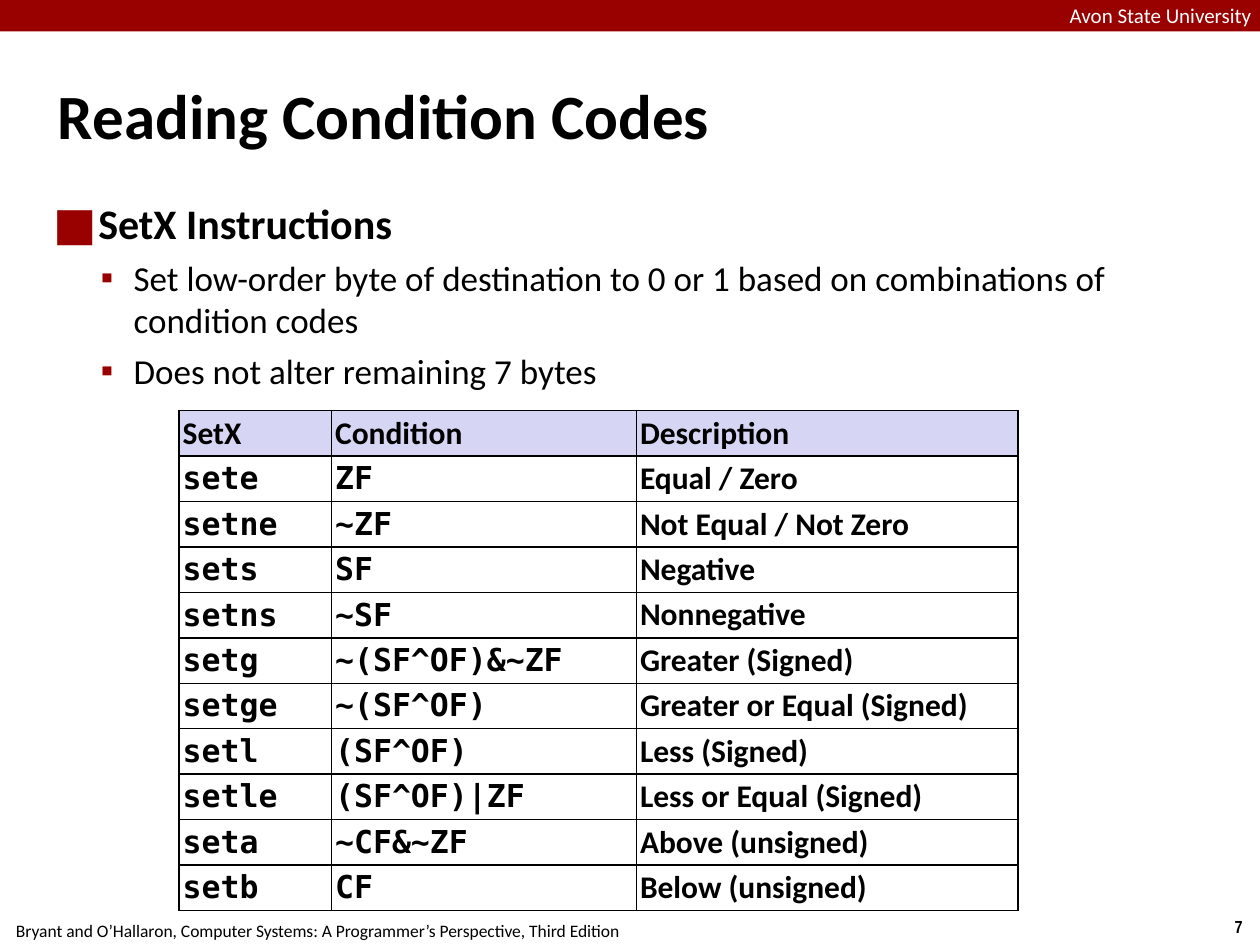
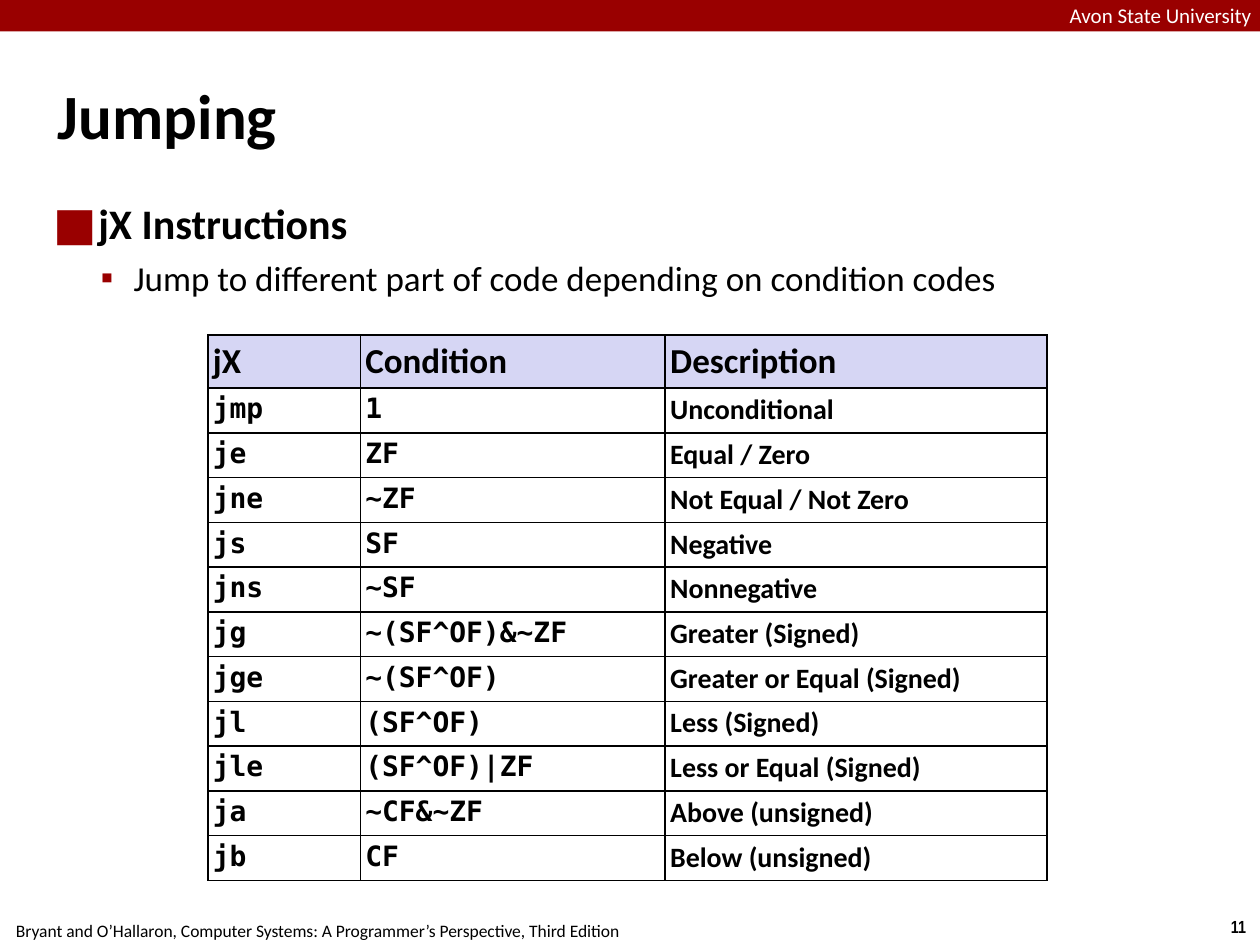
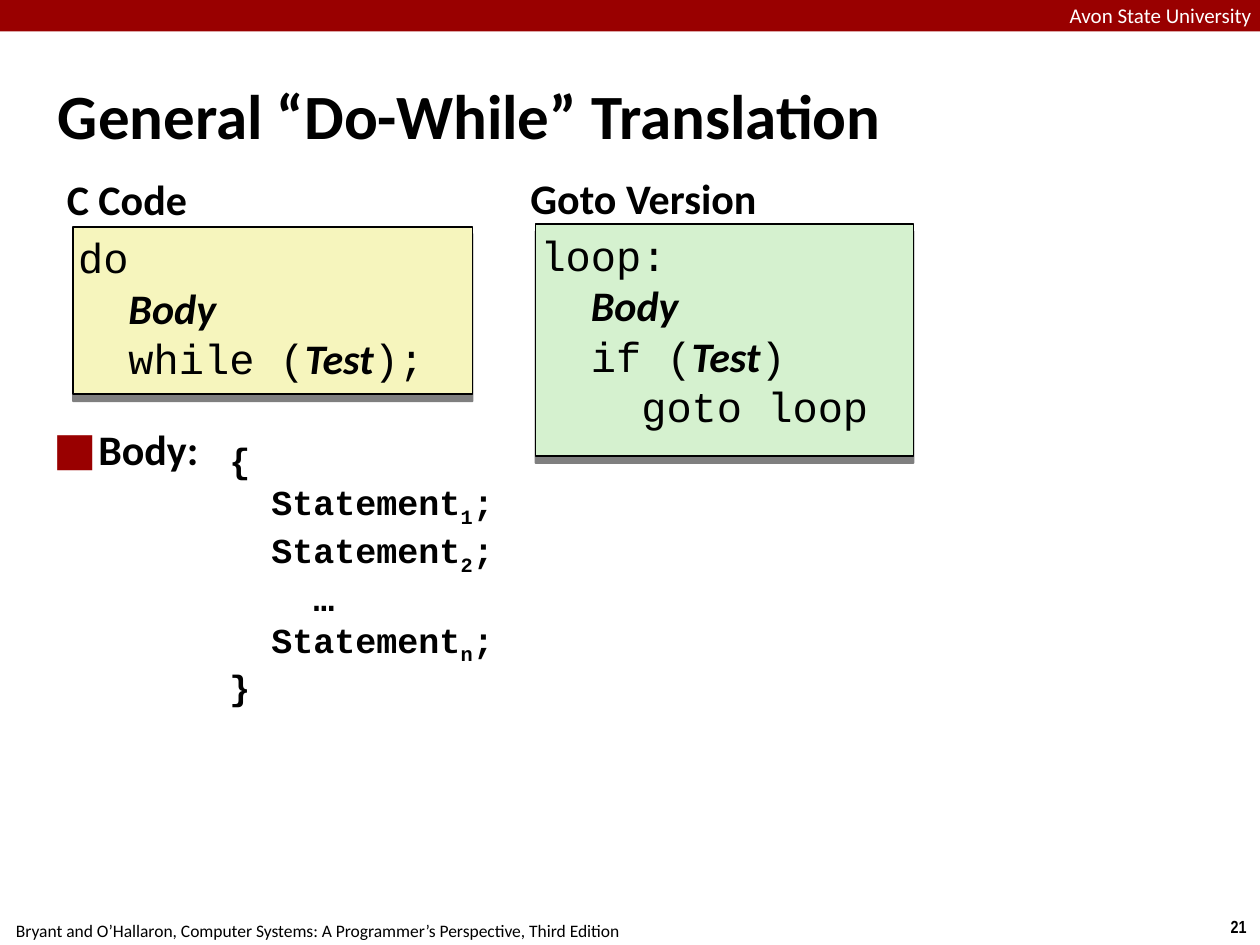
from dataclasses import dataclass, field

from lxml.etree import SubElement
from pptx import Presentation
from pptx.dml.color import RGBColor
from pptx.enum.shapes import MSO_SHAPE as Preset
from pptx.enum.text import MSO_ANCHOR as Anchor, MSO_AUTO_SIZE as AutoSize, PP_ALIGN as Align
from pptx.oxml.ns import qn
from pptx.util import Inches, Pt

COLORS = {
    "black": "000000",
    "white": "FFFFFF",
    "crimson": "990000",
    "header": "D6D6F4",
    "c_code": "F6F5BD",
    "goto_code": "D5F1CF",
}
TEXT_FONT = "Calibri"
CODE_FONT = "Courier New"
TABLE_FONT = "DejaVu Sans Mono"
UNIVERSITY = "Avon State University"
CITATION = "Bryant and O’Hallaron, Computer Systems: A Programmer’s Perspective, Third Edition"
COLUMN_WIDTHS = (1.21, 2.42, 3.03)
CONDITIONS = (
    ("e", "ZF", "Equal / Zero"),
    ("ne", "~ZF", "Not Equal / Not Zero"),
    ("s", "SF", "Negative"),
    ("ns", "~SF", "Nonnegative"),
    ("g", "~(SF^OF)&~ZF", "Greater (Signed)"),
    ("ge", "~(SF^OF)", "Greater or Equal (Signed)"),
    ("l", "(SF^OF)", "Less (Signed)"),
    ("le", "(SF^OF)|ZF", "Less or Equal (Signed)"),
    ("a", "~CF&~ZF", "Above (unsigned)"),
    ("b", "CF", "Below (unsigned)"),
)


@dataclass
class Area:
    left: float
    top: float
    width: float
    height: float

    def lengths(self):
        return [Inches(n) for n in (self.left, self.top, self.width, self.height)]


@dataclass
class Style:
    size: float
    name: str = TEXT_FONT
    bold: bool = False
    italic: bool = False
    color: str = "black"


@dataclass
class Span:
    text: str
    style: Style
    subscript: bool = False


@dataclass
class Bullet:
    char: str
    font: str
    percent: int


@dataclass
class Line:
    spans: list
    indent: float = 0
    hanging: float = 0
    bullet: Bullet | None = None
    space_before: float = 0


@dataclass
class ConditionTable:
    area: Area
    rows: list
    header_height: float
    header_size: float
    body_size: float
    margins: tuple
    anchor: Anchor


@dataclass
class CodePanel:
    heading: str
    heading_area: Area
    area: Area
    fill: str
    lines: list = field(default_factory=list)


TITLE = Style(36, bold=True)
HEADING = Style(24, bold=True)
DETAIL = Style(20)
CODE = Style(24, CODE_FONT)
SLOT = Style(24, bold=True, italic=True)
STATEMENT = Style(20, CODE_FONT, bold=True)
LARGE_SQUARE = Bullet("■", TABLE_FONT, 140)
SMALL_SQUARE = Bullet("▪", TEXT_FONT, 100)


def set_values(target, values: dict) -> None:
    for name, value in values.items():
        setattr(target, name, value)


def rgb(name: str) -> RGBColor:
    return RGBColor.from_string(COLORS[name])


def set_frame(frame, margins=(0.04, 0.04), anchor=Anchor.TOP, wrap=True) -> None:
    across, down = (Inches(n) for n in margins)
    set_values(frame, {
        "margin_left": across, "margin_right": across,
        "margin_top": down, "margin_bottom": down,
        "vertical_anchor": anchor, "word_wrap": wrap, "auto_size": AutoSize.NONE,
    })


def add_span(para, span: Span) -> None:
    run = para.add_run()
    run.text = span.text
    style = span.style
    set_values(run.font, {
        "size": Pt(style.size), "name": style.name,
        "bold": style.bold, "italic": style.italic,
    })
    run.font.color.rgb = rgb(style.color)
    if span.subscript:
        run._r.get_or_add_rPr().set("baseline", "-25000")


def add_bullet(props, bullet: Bullet) -> None:
    color = SubElement(props, qn("a:buClr"))
    SubElement(color, qn("a:srgbClr"), val=COLORS["crimson"])
    SubElement(props, qn("a:buSzPct"), val=str(bullet.percent * 1000))
    SubElement(props, qn("a:buFont"), typeface=bullet.font)
    SubElement(props, qn("a:buChar"), char=bullet.char)


def write_lines(frame, lines: list, align=Align.LEFT) -> None:
    for number, line in enumerate(lines):
        para = frame.add_paragraph() if number else frame.paragraphs[0]
        set_values(para, {"alignment": align, "space_before": Pt(line.space_before)})
        props = para._p.get_or_add_pPr()
        props.set("marL", str(Inches(line.indent)))
        props.set("indent", str(-Inches(line.hanging)))
        if line.bullet:
            add_bullet(props, line.bullet)
        for span in line.spans:
            add_span(para, span)


def add_text(page, area: Area, lines: list, margins=(0.04, 0.04), align=Align.LEFT, wrap=True):
    box = page.shapes.add_textbox(*area.lengths())
    set_frame(box.text_frame, margins, wrap=wrap)
    write_lines(box.text_frame, lines, align)
    return box


def add_rectangle(page, area: Area, fill: str):
    box = page.shapes.add_shape(Preset.RECTANGLE, *area.lengths())
    box.shadow.inherit = False
    box.fill.solid()
    box.fill.fore_color.rgb = rgb(fill)
    box.line.fill.background()
    return box


def heading_line(text: str) -> Line:
    return Line([Span(text, HEADING)], 0.32, 0.32, LARGE_SQUARE)


def detail_line(text: str) -> Line:
    return Line([Span(text, DETAIL)], 0.6, 0.26, SMALL_SQUARE, 5)


def code_line(columns: int, *spans: Span) -> Line:
    char_width = 0.6 * spans[0].style.size / 72
    return Line(list(spans), columns * char_width)


def add_page(deck, title: str, number: int):
    page = deck.slides.add_slide(deck.slide_layouts[5])
    add_rectangle(page, Area(0, 0, 10, 0.25), "crimson")
    add_text(page, Area(8.49, 0.02, 1.5, 0.19),
             [Line([Span(UNIVERSITY, Style(12, color="white"))])], (0, 0), wrap=False)
    box = page.shapes.title
    set_values(box, dict(zip(("left", "top", "width", "height"),
                             Area(0.42, 0.28, 9.17, 1.25).lengths())))
    set_frame(box.text_frame, anchor=Anchor.MIDDLE)
    write_lines(box.text_frame, [Line([Span(title, TITLE)], 0.13, 0.13)])
    footers = (
        (Area(9.66, 7.22, 0.34, 0.27), Span(str(number), Style(10, "Arial Narrow", bold=True))),
        (Area(-0.02, 7.25, 5.08, 0.27), Span(CITATION, Style(10))),
    )
    for area, span in footers:
        add_text(page, area, [Line([span])], (0.1, 0.05), Align.CENTER, wrap=False)
    return page


def add_borders(cell) -> None:
    props = cell._tc.get_or_add_tcPr()
    for side in ("lnL", "lnR", "lnT", "lnB"):
        border = SubElement(props, qn(f"a:{side}"), w=str(Pt(1)))
        fill = SubElement(border, qn("a:solidFill"))
        SubElement(fill, qn("a:srgbClr"), val=COLORS["black"])


def add_condition_table(page, item: ConditionTable) -> None:
    table = page.shapes.add_table(len(item.rows), len(COLUMN_WIDTHS), *item.area.lengths()).table
    set_values(table, {"first_row": False, "horz_banding": False})
    for column, width in zip(table.columns, COLUMN_WIDTHS):
        column.width = Inches(width)
    body_height = (item.area.height - item.header_height) / (len(item.rows) - 1)
    across, down = (Inches(n) for n in item.margins)
    for r, texts in enumerate(item.rows):
        table.rows[r].height = Inches(body_height if r else item.header_height)
        for c, text in enumerate(texts):
            cell = table.cell(r, c)
            set_values(cell, {
                "margin_left": across, "margin_right": across,
                "margin_top": down, "margin_bottom": down,
                "vertical_anchor": item.anchor,
            })
            add_borders(cell)
            if r:
                cell.fill.background()
            else:
                cell.fill.solid()
                cell.fill.fore_color.rgb = rgb("header")
            style = Style(item.body_size if r else item.header_size,
                          TABLE_FONT if r and c < 2 else TEXT_FONT, bold=True)
            add_span(cell.text_frame.paragraphs[0], Span(text, style))


def add_code_panel(page, panel: CodePanel) -> None:
    add_text(page, panel.heading_area, [Line([Span(panel.heading, HEADING)])])
    box = add_rectangle(page, panel.area, panel.fill)
    box.line.color.rgb = rgb("black")
    box.line.width = Pt(1)
    effects = box._element.spPr.find(qn("a:effectLst"))
    shadow = SubElement(effects, qn("a:outerShdw"), blurRad="0", dist=str(Pt(4)),
                        dir="5400000", algn="ctr", rotWithShape="0")
    color = SubElement(shadow, qn("a:srgbClr"), val=COLORS["black"])
    SubElement(color, qn("a:alpha"), val="49000")
    set_frame(box.text_frame)
    write_lines(box.text_frame, panel.lines)


def condition_rows(name: str, prefix: str) -> list:
    return [(name, "Condition", "Description")] + [
        (prefix + suffix, condition, meaning) for suffix, condition, meaning in CONDITIONS
    ]


def build_reading(deck) -> None:
    page = add_page(deck, "Reading Condition Codes", 7)
    add_text(page, Area(0.42, 1.53, 9.17, 1.65), [
        heading_line("SetX Instructions"),
        detail_line("Set low-order byte of destination to 0 or 1 based on combinations of condition codes"),
        detail_line("Does not alter remaining 7 bytes"),
    ])
    add_condition_table(page, ConditionTable(
        Area(1.42, 3.26, sum(COLUMN_WIDTHS), 3.97), condition_rows("SetX", "set"),
        0.36, 18, 18, (0.03, 0.02), Anchor.MIDDLE))


def build_jumping(deck) -> None:
    page = add_page(deck, "Jumping", 11)
    add_text(page, Area(0.42, 1.53, 9.17, 0.94), [
        heading_line("jX Instructions"),
        detail_line("Jump to different part of code depending on condition codes"),
    ])
    rows = condition_rows("jX", "j")
    rows.insert(1, ("jmp", "1", "Unconditional"))
    add_condition_table(page, ConditionTable(
        Area(1.65, 2.66, sum(COLUMN_WIDTHS), 4.33), rows, 0.42, 20, 16, (0.04, 0.04), Anchor.TOP))


def build_do_while(deck) -> None:
    page = add_page(deck, "General “Do-While” Translation", 21)
    body, test = Span("Body", SLOT), Span("Test", SLOT)
    panels = (
        CodePanel("C Code", Area(0.49, 1.34, 2.86, 0.49), Area(0.58, 1.8, 3.17, 1.33), "c_code", [
            code_line(0, Span("do", CODE)),
            code_line(2, body),
            code_line(2, Span("while (", CODE), test, Span(");", CODE)),
        ]),
        CodePanel("Goto Version", Area(4.17, 1.33, 2.53, 0.49), Area(4.25, 1.78, 3, 1.84), "goto_code", [
            code_line(0, Span("loop:", CODE)),
            code_line(2, body),
            code_line(2, Span("if (", CODE), test, Span(")", CODE)),
            code_line(4, Span("goto loop", CODE)),
        ]),
    )
    for panel in panels:
        add_code_panel(page, panel)
    add_text(page, Area(0.42, 3.32, 1.36, 0.5), [heading_line("Body:")])
    first, second, last = (
        code_line(2, Span("Statement", STATEMENT), Span(index, STATEMENT, True), Span(";", STATEMENT))
        for index in "12n"
    )
    add_text(page, Area(1.78, 3.44, 2.43, 2.47), [
        code_line(0, Span("{", STATEMENT)),
        first,
        second,
        code_line(4, Span("…", STATEMENT)),
        last,
        code_line(0, Span("}", STATEMENT)),
    ])


def main() -> None:
    deck = Presentation()
    set_values(deck, {"slide_width": Inches(10), "slide_height": Inches(7.5)})
    for build in (build_reading, build_jumping, build_do_while):
        build(deck)
    deck.save("out.pptx")


if __name__ == "__main__":
    main()
